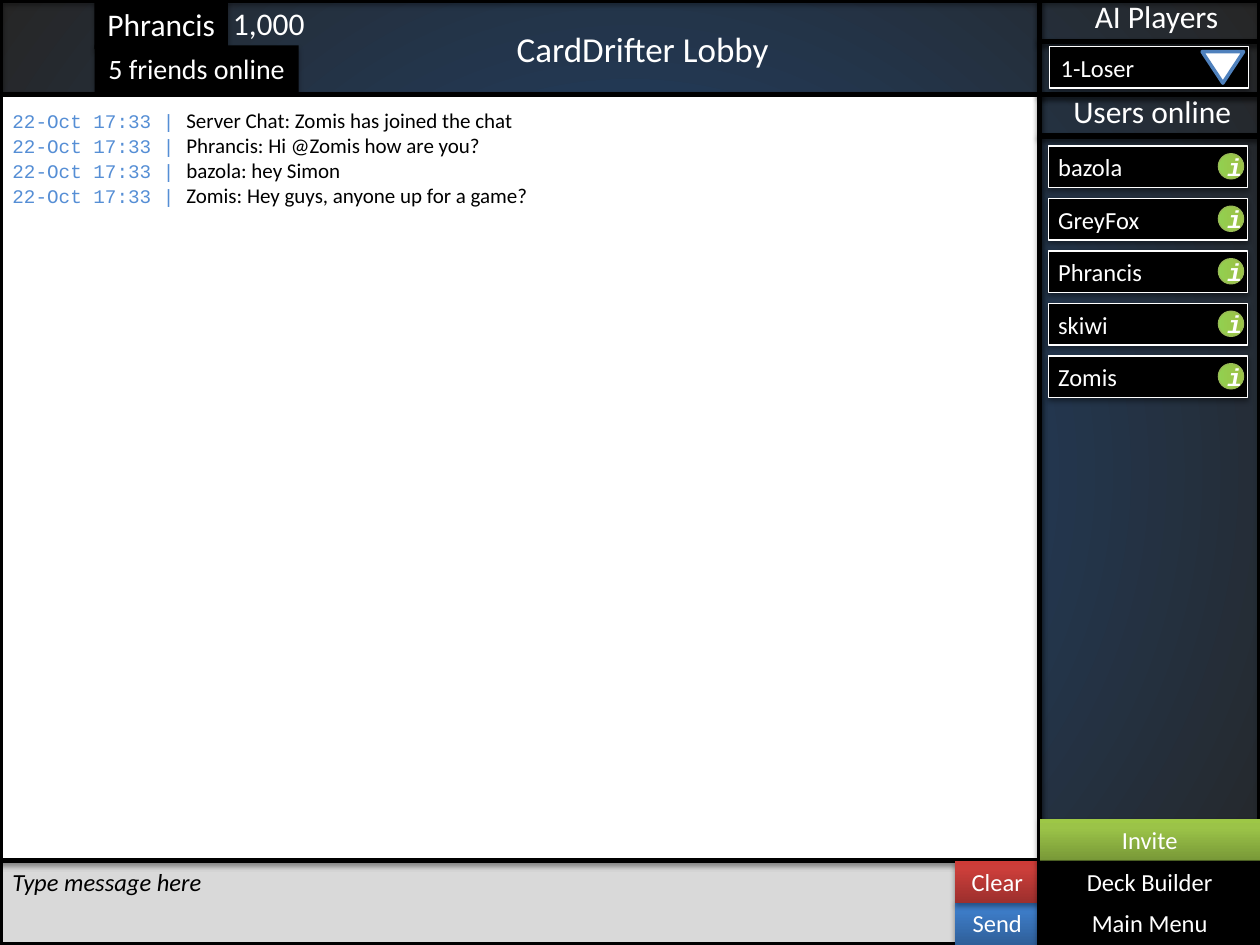
from lxml import etree
from pptx import Presentation
from pptx.dml.color import RGBColor
from pptx.enum.shapes import MSO_SHAPE
from pptx.enum.text import MSO_ANCHOR, MSO_AUTO_SIZE, PP_ALIGN
from pptx.oxml import parse_xml
from pptx.oxml.ns import nsdecls, qn
from pptx.util import Inches, Pt

RECT, OVAL, TRIANGLE = MSO_SHAPE.RECTANGLE, MSO_SHAPE.OVAL, MSO_SHAPE.ISOSCELES_TRIANGLE
LEFT, CENTER = PP_ALIGN.LEFT, PP_ALIGN.CENTER
TOP, MIDDLE = MSO_ANCHOR.TOP, MSO_ANCHOR.MIDDLE
GROW, FIXED = MSO_AUTO_SIZE.SHAPE_TO_FIT_TEXT, MSO_AUTO_SIZE.NONE

BLACK, WHITE, GREY, STAMP_BLUE = "000000", "FFFFFF", "D9D9D9", "558ED5"
GREEN = ("779737", "9BC348", "9DC746")
RED = ("9C2F2D", "CB3E3A", "CE3B37")
BLUE = ("2F5F99", "3D7CC7", "3A7CCB")
BADGE_GREEN = ("92D050", "9BC348", "9DC746")
FRAME_SHADOW, BUTTON_SHADOW = (38, 1.6), (35, 1.8)

MAIN_W, SIDE_W = 8.25, 1.75
HEADER_H, HEADING_H, BUTTON_H = 0.75, 0.33, 0.34
COMPOSER_TOP = 6.83
ROW_PITCH = 5 / 12


def rgb(value):
    return RGBColor.from_string(value)


def gradient(owner, stops, direction):
    """Swap the solid fill of an element for a gradient."""
    marks = "".join(f'<a:gs pos="{pos * 1000}"><a:srgbClr val="{color}"/></a:gs>'
                    for pos, color in stops)
    solid = owner.find(qn("a:solidFill"))
    owner.replace(solid, parse_xml(
        f'<a:gradFill {nsdecls("a")} rotWithShape="1"><a:gsLst>{marks}</a:gsLst>'
        f'{direction}</a:gradFill>'))


def add_shadow(shape, opacity, distance):
    effects = shape._element.spPr.find(qn("a:effectLst"))
    outer = etree.SubElement(effects, qn("a:outerShdw"), blurRad=str(Pt(3.1)),
                             dist=str(Pt(distance)), dir="5400000", rotWithShape="0")
    color = etree.SubElement(outer, qn("a:srgbClr"), val=BLACK)
    etree.SubElement(color, qn("a:alpha"), val=str(opacity * 1000))


def add_box(slide, x, y, w, h, kind=RECT, fill=None, line=None, weight=0.75,
            shadow=None, angle=270):
    box = slide.shapes.add_shape(kind, Inches(x), Inches(y), Inches(w), Inches(h))
    box.shadow.inherit = False
    if fill is None:
        box.fill.background()
    else:
        box.fill.solid()
        if isinstance(fill, tuple):
            gradient(box._element.spPr, zip((0, 80, 100), fill),
                     f'<a:lin ang="{angle * 60000}" scaled="0"/>')
        else:
            box.fill.fore_color.rgb = rgb(fill)
    if line:
        box.line.color.rgb = rgb(line)
        box.line.width = Pt(weight)
    else:
        box.line.fill.background()
    if shadow:
        add_shadow(box, *shadow)
    return box


def add_run(paragraph, text, size=14, color=WHITE, font="Calibri", bold=False, italic=False):
    run = paragraph.add_run()
    run.text = text
    run.font.size, run.font.name = Pt(size), font
    run.font.bold, run.font.italic = bold, italic
    run.font.color.rgb = rgb(color)


def write(shape, text, align=LEFT, anchor=TOP, wrap=False, fit=GROW, **style):
    frame = shape.text_frame
    frame.word_wrap, frame.auto_size, frame.vertical_anchor = wrap, fit, anchor
    frame.paragraphs[0].alignment = align
    add_run(frame.paragraphs[0], text, **style)


def add_label(slide, text, x, y, w, h, **style):
    label = slide.shapes.add_textbox(Inches(x), Inches(y), Inches(w), Inches(h))
    write(label, text, **style)


def add_frame(slide, x, y, w, h, fill=None):
    return add_box(slide, x, y, w, h, fill=fill, line=BLACK, weight=3, shadow=FRAME_SHADOW)


def add_button(slide, text, x, y, w, fill, h=BUTTON_H, size=14, wrap=True):
    button = add_box(slide, x, y, w, h, fill=fill, shadow=BUTTON_SHADOW)
    write(button, text, align=CENTER, wrap=wrap, size=size)


def add_field(slide, text, x, y, text_x, text_w):
    add_box(slide, x, y, 1.58, 0.33, fill=BLACK, line=WHITE, shadow=FRAME_SHADOW)
    add_label(slide, text, text_x, y, text_w, 0.34)


def header(slide, x, y):
    add_frame(slide, x, y, MAIN_W, HEADER_H)
    title = slide.shapes.title
    title.left, title.top = Inches(x + 4), Inches(y + 0.17)
    title.width, title.height = Inches(2.23), Inches(0.44)
    write(title, "CardDrifter Lobby", size=20)
    # Player name, balance and friends
    add_button(slide, "Phrancis", x + 0.75, y - 0.01, 1.06, BLACK, h=0.4, size=18, wrap=False)
    add_label(slide, "1,000", x + 1.75, y - 0.02, 0.78, 0.4, size=18)
    add_button(slide, "5 friends online", x + 0.75, y + 0.36, 1.62, BLACK,
               h=0.37, size=16, wrap=False)


def composer(slide, x, y):
    add_frame(slide, x, y, MAIN_W, 0.67, fill=GREY)
    add_label(slide, "Type message here", x, y, 1.71, 0.34, color=BLACK, italic=True)


def composer_buttons(slide, x, y):
    add_button(slide, "Send", x, y + 0.33, 0.67, BLUE)
    add_button(slide, "Clear", x, y, 0.67, RED)


def chat(slide, x, y, messages):
    panel = add_frame(slide, x, y, MAIN_W, COMPOSER_TOP - y, fill=WHITE)
    frame = panel.text_frame
    frame.word_wrap, frame.vertical_anchor = True, TOP
    frame.margin_left = frame.margin_right = Inches(0.1)
    frame.margin_top = frame.margin_bottom = Inches(0.1)
    for index, message in enumerate(messages):
        paragraph = frame.add_paragraph() if index else frame.paragraphs[0]
        paragraph.alignment = LEFT
        add_run(paragraph, "22-Oct 17:33 | ", size=11, color=STAMP_BLUE, font="Courier New")
        add_run(paragraph, message, size=12, color=BLACK)


def ai_players(slide, x, y):
    add_label(slide, "AI Players", x + 0.34, y - 0.07, 1.19, 0.4, size=18)
    add_frame(slide, x, y, SIDE_W, HEADING_H)
    add_frame(slide, x, y + HEADING_H, SIDE_W, 0.42)
    add_field(slide, "1-Loser", x + 0.08, y + 0.37, x + 0.07, 0.79)
    arrow = add_box(slide, x + 1.29, y + 0.41, 0.33, 0.25, kind=TRIANGLE,
                    fill=WHITE, line="4F81BD", weight=2)
    arrow.rotation = 180


def users_online(slide, x, y, users):
    add_frame(slide, x, y + HEADING_H, SIDE_W, 6.42)
    add_label(slide, "Users online", x + 0.17, y - 0.07, 1.47, 0.4, size=18)
    add_frame(slide, x, y, SIDE_W, HEADING_H)
    for index, (name, width) in enumerate(users):
        row_y = y + 0.41 + index * ROW_PITCH
        add_field(slide, name, x + 0.07, row_y, x + 0.05, width)
        badge = add_box(slide, x + 1.42, row_y + 0.06, 0.2, 0.2, kind=OVAL, fill=BADGE_GREEN,
                        line="98B955", shadow=BUTTON_SHADOW, angle=0)
        write(badge, "i", align=CENTER, anchor=MIDDLE, wrap=True, fit=FIXED,
              font="Courier New", bold=True, italic=True)


def menu(slide, x, y):
    entries = (("Invite", GREEN), ("Deck Builder", BLACK), ("Main Menu", BLACK))
    for index, (text, fill) in enumerate(entries):
        add_button(slide, text, x, y + index * 0.33, SIDE_W, fill)


deck = Presentation()
deck.slide_width, deck.slide_height = Inches(10), Inches(7.5)
lobby = deck.slides.add_slide(deck.slide_layouts[5])

# Backdrop
lobby.background.fill.solid()
gradient(lobby.element.xpath(".//p:bgPr")[0], ((0, "1F497D"), (100, "262626")),
         '<a:path path="circle"><a:fillToRect l="50000" t="50000" r="50000" b="50000"/></a:path>')

# Main column
header(lobby, 0, 0)
composer(lobby, 0, COMPOSER_TOP)
chat(lobby, 0, HEADER_H, (
    "Server Chat: Zomis has joined the chat",
    "Phrancis: Hi @Zomis how are you?",
    "bazola: hey Simon",
    "Zomis: Hey guys, anyone up for a game?",
))
composer_buttons(lobby, 7.58, COMPOSER_TOP)

# Sidebar
ai_players(lobby, MAIN_W, 0)
users_online(lobby, MAIN_W, HEADER_H, (
    ("bazola", 0.72), ("GreyFox", 0.85), ("Phrancis", 0.87), ("skiwi", 0.6), ("Zomis", 0.67),
))
menu(lobby, MAIN_W, 6.5)

deck.save("out.pptx")
